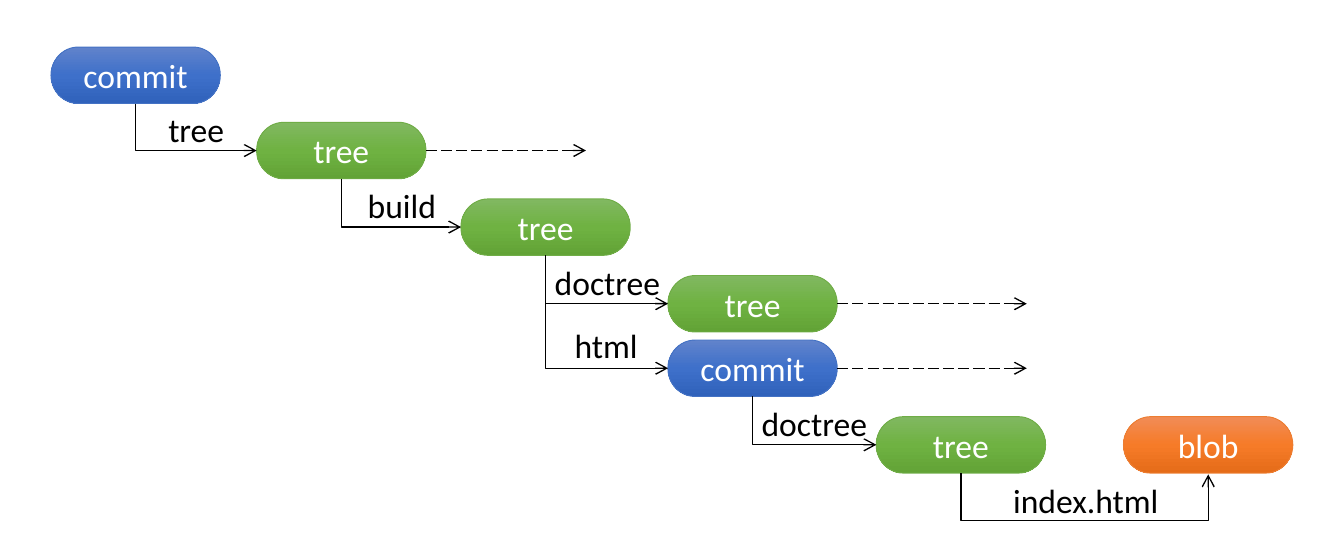
"""Build a slide that shows how commit, tree and blob objects refer to one another."""
import copy
import dataclasses

import lxml.etree
import pptx
import pptx.dml.color
import pptx.enum.dml
import pptx.enum.shapes
import pptx.enum.text
import pptx.oxml.ns
import pptx.slide
import pptx.util
from pptx.util import Inches

COLORS = {"label": "000000", "arrow": "000000", "node_text": "FFFFFF"}
OUTLINES = {"commit": "4472C4", "tree": "70AD47", "blob": "ED7D31"}
GRADIENTS = {
    "commit": ("6183CB", "3E70CA", "3062BB"),
    "tree": ("81B861", "6FB242", "62A336"),
    "blob": ("F18C57", "F67B28", "E56C19"),
}
NODE_WIDTH, NODE_HEIGHT = 1.26, 0.42
LABEL_HEIGHT = 0.4
U_TURN_DROP = 0.36


@dataclasses.dataclass(frozen=True)
class Node:
    kind: str
    left: float
    top: float

    @property
    def center(self) -> float:
        return self.left + NODE_WIDTH / 2

    @property
    def middle(self) -> float:
        return self.top + NODE_HEIGHT / 2

    @property
    def right(self) -> float:
        return self.left + NODE_WIDTH

    @property
    def bottom(self) -> float:
        return self.top + NODE_HEIGHT


@dataclasses.dataclass(frozen=True)
class Label:
    text: str
    left: float
    top: float
    width: float


COMMIT = Node("commit", 0.38, 0.35)
ROOT_TREE = Node("tree", 1.91, 0.91)
BUILD_TREE = Node("tree", 3.43, 1.48)
DOC_TREE = Node("tree", 4.97, 2.05)
HTML_COMMIT = Node("commit", 4.97, 2.53)
HTML_TREE = Node("tree", 6.52, 3.1)
INDEX_BLOB = Node("blob", 8.36, 3.1)
NODES = (COMMIT, ROOT_TREE, BUILD_TREE, DOC_TREE, HTML_COMMIT, HTML_TREE, INDEX_BLOB)

REFERENCES = (
    (COMMIT, ROOT_TREE),
    (ROOT_TREE, BUILD_TREE),
    (BUILD_TREE, DOC_TREE),
    (BUILD_TREE, HTML_COMMIT),
    (HTML_COMMIT, HTML_TREE),
)
CONTINUATIONS = ((ROOT_TREE, 4.36), (DOC_TREE, 7.64), (HTML_COMMIT, 7.64))
LABELS = (
    Label("tree", 1.15, 0.76, 0.62),
    Label("build", 2.63, 1.33, 0.72),
    Label("doctree", 4.02, 1.9, 1),
    Label("html", 4.17, 2.37, 0.68),
    Label("doctree", 5.56, 2.95, 1),
    Label("index.html", 7.43, 3.52, 1.3),
)


def rgb(value: str) -> pptx.dml.color.RGBColor:
    return pptx.dml.color.RGBColor.from_string(value)


def write_text(shape, text: str, color: str) -> None:
    shape.text_frame.text = text
    para = shape.text_frame.paragraphs[0]
    para.alignment = pptx.enum.text.PP_ALIGN.CENTER
    font = para.runs[0].font
    font.name, font.size = "Calibri", pptx.util.Pt(18)
    font.color.rgb = rgb(color)


def fill_gradient(shape, colors: tuple[str, ...]) -> None:
    shape.fill.gradient()
    shape.fill.gradient_angle = 270
    stop_list = shape._element.spPr.find(".//" + pptx.oxml.ns.qn("a:gsLst"))
    stop_list.insert(1, copy.deepcopy(stop_list[0]))
    for index, (stop, color) in enumerate(zip(shape.fill.gradient_stops, colors)):
        stop.position = index / (len(colors) - 1)
        stop.color.rgb = rgb(color)


def draw_node(slide: pptx.slide.Slide, node: Node) -> None:
    box = slide.shapes.add_shape(
        pptx.enum.shapes.MSO_SHAPE.FLOWCHART_TERMINATOR,
        Inches(node.left), Inches(node.top), Inches(NODE_WIDTH), Inches(NODE_HEIGHT),
    )
    box.shadow.inherit = False
    fill_gradient(box, GRADIENTS[node.kind])
    box.line.color.rgb = rgb(OUTLINES[node.kind])
    box.line.width = pptx.util.Pt(0.5)
    box.text_frame.vertical_anchor = pptx.enum.text.MSO_ANCHOR.MIDDLE
    write_text(box, node.kind, COLORS["node_text"])


def draw_label(slide: pptx.slide.Slide, label: Label) -> None:
    box = slide.shapes.add_textbox(
        Inches(label.left), Inches(label.top), Inches(label.width), Inches(LABEL_HEIGHT)
    )
    box.text_frame.word_wrap = False
    box.text_frame.auto_size = pptx.enum.text.MSO_AUTO_SIZE.SHAPE_TO_FIT_TEXT
    write_text(box, label.text, COLORS["label"])


def draw_arrow(slide: pptx.slide.Slide, kind, x1: float, y1: float, x2: float, y2: float):
    arrow = slide.shapes.add_connector(kind, Inches(x1), Inches(y1), Inches(x2), Inches(y2))
    arrow.line.color.rgb = rgb(COLORS["arrow"])
    arrow.line.width = pptx.util.Pt(0.75)
    qn = pptx.oxml.ns.qn
    lxml.etree.SubElement(arrow.line._get_or_add_ln(), qn("a:tailEnd"), type="arrow")
    lxml.etree.SubElement(arrow._element.spPr, qn("a:effectLst"))
    return arrow


def draw_continuation(slide: pptx.slide.Slide, node: Node, end: float) -> None:
    kind = pptx.enum.shapes.MSO_CONNECTOR.STRAIGHT
    arrow = draw_arrow(slide, kind, node.right, node.middle, end, node.middle)
    arrow.line.dash_style = pptx.enum.dml.MSO_LINE.LONG_DASH


def draw_elbow(slide: pptx.slide.Slide, x1: float, y1: float, x2: float, y2: float,
               drop: float | None = None) -> None:
    """Leave downwards; with a drop, turn back up into the end point."""
    across, down = x2 - x1, y2 - y1
    left, top = (x1 + x2 - down) / 2, (y1 + y2 - across) / 2
    kind = pptx.enum.shapes.MSO_CONNECTOR.ELBOW
    arrow = draw_arrow(slide, kind, left, top, left + down, top + across)
    properties = arrow._element.spPr
    frame = properties.find(pptx.oxml.ns.qn("a:xfrm"))
    frame.set("rot", str(270 * 60000))
    frame.set("flipH", "1")
    geometry = properties.find(pptx.oxml.ns.qn("a:prstGeom"))
    if drop is None:
        geometry.set("prst", "bentConnector2")
    else:
        adjustments = geometry.find(pptx.oxml.ns.qn("a:avLst"))
        lxml.etree.SubElement(adjustments, pptx.oxml.ns.qn("a:gd"), name="adj1",
                              fmla=f"val {round(drop / down * 100000)}")


def main() -> None:
    deck = pptx.Presentation()
    deck.slide_width, deck.slide_height = Inches(10), Inches(4.04)
    slide = deck.slides.add_slide(deck.slide_layouts[6])
    for node in NODES:
        draw_node(slide, node)
    for source, target in REFERENCES:
        draw_elbow(slide, source.center, source.bottom, target.left, target.middle)
    draw_elbow(slide, HTML_TREE.center, HTML_TREE.bottom,
               INDEX_BLOB.center, INDEX_BLOB.bottom + 0.01, U_TURN_DROP)
    for node, end in CONTINUATIONS:
        draw_continuation(slide, node, end)
    for label in LABELS:
        draw_label(slide, label)
    deck.save("out.pptx")


if __name__ == "__main__":
    main()
